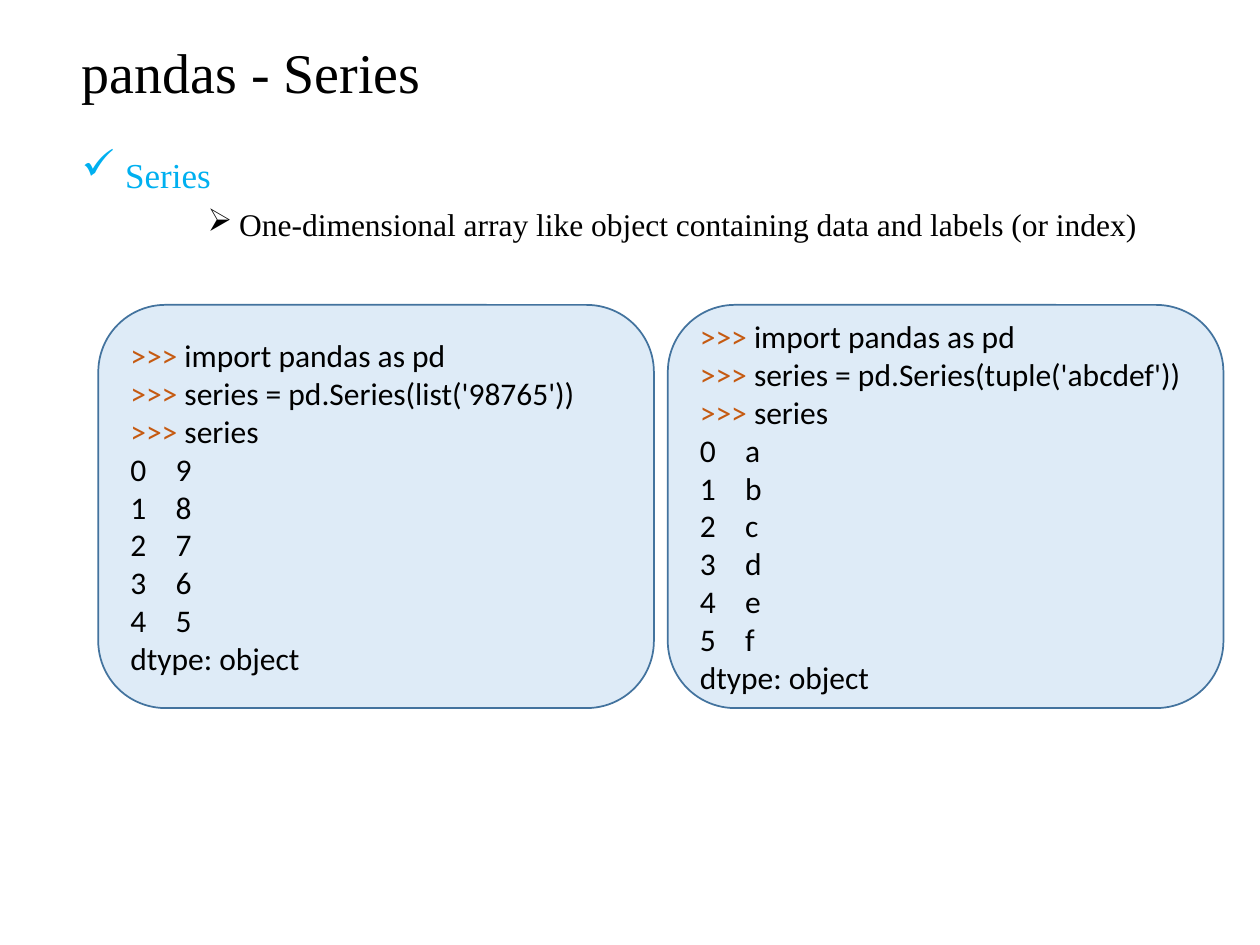
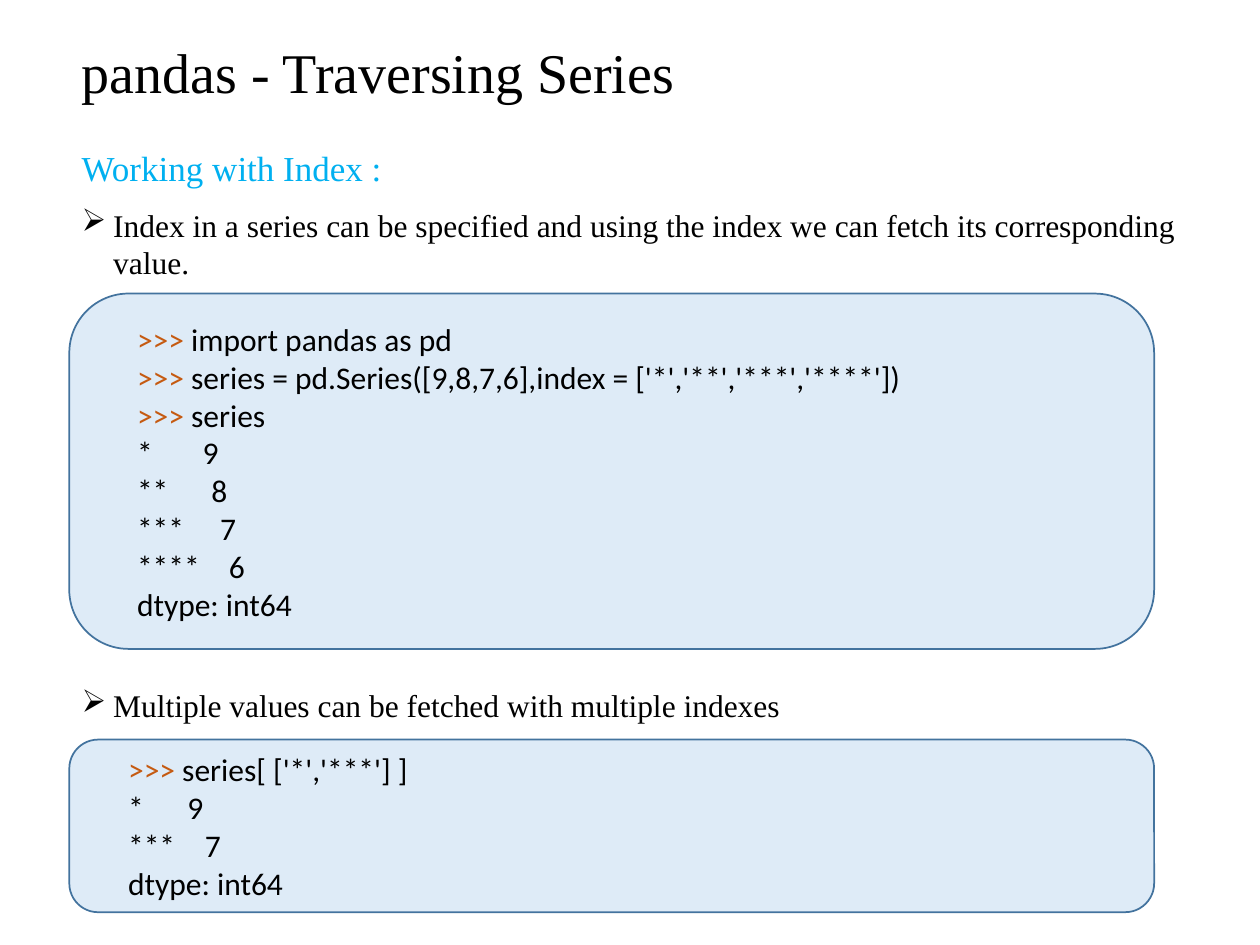
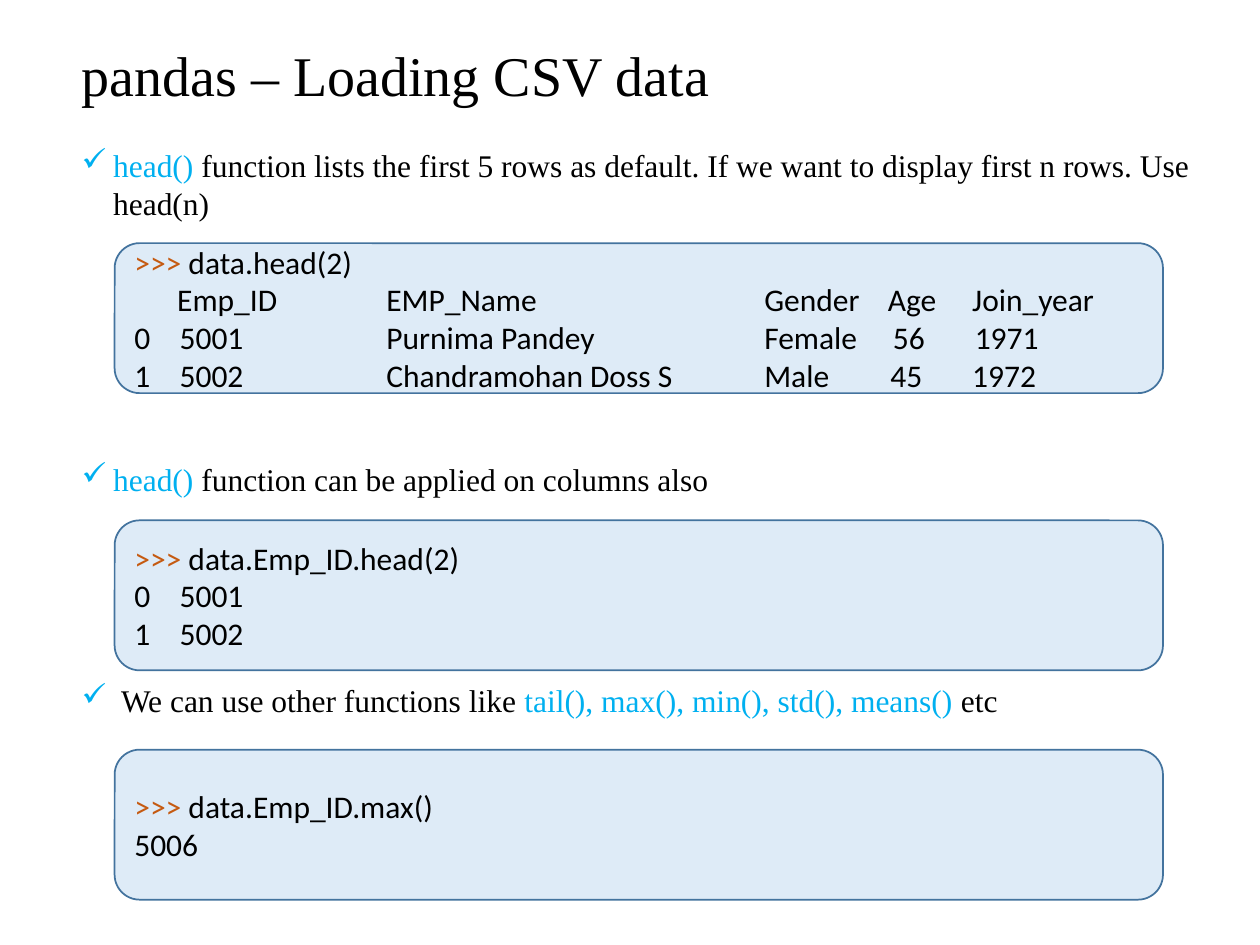
from dataclasses import dataclass

from lxml.etree import SubElement
from pptx import Presentation
from pptx.dml.color import RGBColor
from pptx.enum.shapes import MSO_SHAPE as SHAPE
from pptx.enum.text import MSO_ANCHOR as ANCHOR, PP_ALIGN as ALIGN
from pptx.oxml.ns import qn
from pptx.util import Inches, Pt


@dataclass(frozen=True)
class Theme:
    text: RGBColor = RGBColor.from_string("000000")
    accent: RGBColor = RGBColor.from_string("00B0F0")
    prompt: RGBColor = RGBColor.from_string("C55A11")
    panel: RGBColor = RGBColor.from_string("DEEBF7")
    border: RGBColor = RGBColor.from_string("43739E")
    serif: str = "Times New Roman"
    sans: str = "Calibri"
    title_size: int = 32
    lead_size: int = 24
    heading_size: int = 20
    text_size: int = 18
    leading: float = 1.2
    gap: float = 10


THEME = Theme()
PROMPT = ">>>"
CHECK = "✓"
ARROW = "➢"


@dataclass(frozen=True)
class Span:
    text: str
    color: RGBColor = THEME.text
    size: int | None = None


@dataclass(frozen=True)
class Item:
    spans: tuple[Span, ...]
    bullet: str = ""
    size: int = THEME.text_size
    margin: float = 0.25
    gap: float = THEME.gap
    skipped_lines: int = 0


@dataclass(frozen=True)
class Row:
    cells: tuple[str, ...]
    stops: tuple[float, ...] = ()


@dataclass(frozen=True)
class Panel:
    left: float
    top: float
    width: float
    height: float
    rows: tuple[Row, ...]
    inset: float = 0.1


@dataclass(frozen=True)
class Page:
    title: str
    items: tuple[Item, ...]
    panels: tuple[Panel, ...]
    title_spacing: float = 0.9


def code(*lines: str) -> tuple[Row, ...]:
    return tuple(Row((line,)) for line in lines)


def series(labels: str, values: str) -> tuple[Row, ...]:
    return tuple(Row(pair, (0.36,)) for pair in zip(labels, values))


def starred(first_stop: float, pairs: dict[int, str]) -> tuple[Row, ...]:
    return tuple(
        Row(("*" * n, value), (round(first_stop + 0.07 * (n - 1), 2),))
        for n, value in pairs.items()
    )


def set_font(p, name: str, size: int) -> None:
    p.font.name = name
    p.font.size = Pt(size)
    p.font.color.rgb = THEME.text


def add_run(p, span: Span) -> None:
    r = p.add_run()
    r.text = span.text
    r.font.color.rgb = span.color
    if span.size:
        r.font.size = Pt(span.size)


def next_paragraph(tf, index: int):
    return tf.add_paragraph() if index else tf.paragraphs[0]


def set_bullet(p, char: str, margin: float) -> None:
    props = p._p.get_or_add_pPr()
    props.set("marL", str(Inches(margin)))
    props.set("indent", str(Inches(-0.25)))
    SubElement(props, qn("a:buChar")).set("char", char)


def set_tabs(p, stops: tuple[float, ...]) -> None:
    tabs = SubElement(p._p.get_or_add_pPr(), qn("a:tabLst"))
    for stop in stops:
        tab = SubElement(tabs, qn("a:tab"))
        tab.set("pos", str(Inches(stop)))
        tab.set("algn", "l")


def add_text_box(s, left: float, top: float, width: float, height: float):
    tf = s.shapes.add_textbox(
        Inches(left), Inches(top), Inches(width), Inches(height)
    ).text_frame
    tf.word_wrap = True
    return tf


def add_title(s, text: str, spacing: float) -> None:
    tf = add_text_box(s, 0.55, 0.38, 8.07, 0.42)
    tf.vertical_anchor = ANCHOR.MIDDLE
    p = tf.paragraphs[0]
    p.text = text
    p.line_spacing = Pt(THEME.title_size * THEME.leading * spacing)
    set_font(p, THEME.serif, THEME.title_size)


def add_body(s, items: tuple[Item, ...]) -> None:
    tf = add_text_box(s, 0.55, 1.11, 9.27, 6.14)
    skipped_height = THEME.text_size * THEME.leading + THEME.gap
    for i, item in enumerate(items):
        p = next_paragraph(tf, i)
        largest = max(span.size or item.size for span in item.spans)
        p.line_spacing = Pt(largest * THEME.leading)
        if i:
            p.space_before = Pt(item.gap + item.skipped_lines * skipped_height)
        if item.bullet:
            set_bullet(p, item.bullet, item.margin)
        set_font(p, THEME.serif, item.size)
        for span in item.spans:
            add_run(p, span)


def add_panel(s, panel: Panel) -> None:
    sp = s.shapes.add_shape(
        SHAPE.ROUNDED_RECTANGLE,
        Inches(panel.left), Inches(panel.top),
        Inches(panel.width), Inches(panel.height),
    )
    sp.shadow.inherit = False
    sp.fill.solid()
    sp.fill.fore_color.rgb = THEME.panel
    sp.line.color.rgb = THEME.border
    sp.line.width = Pt(1)
    tf = sp.text_frame
    tf.word_wrap = True
    tf.vertical_anchor = ANCHOR.MIDDLE
    tf.margin_left = Inches(panel.inset)
    for i, row in enumerate(panel.rows):
        p = next_paragraph(tf, i)
        p.alignment = ALIGN.LEFT
        p.line_spacing = Pt(THEME.text_size * THEME.leading)
        if row.stops:
            set_tabs(p, row.stops)
        set_font(p, THEME.sans, THEME.text_size)
        text = "\t".join(row.cells)
        if text.startswith(PROMPT):
            add_run(p, Span(PROMPT, THEME.prompt))
            text = text.removeprefix(PROMPT)
        add_run(p, Span(text))


def series_panel(column: int, rows: tuple[Row, ...]) -> Panel:
    return Panel(0.78 + 4.52 * column, 2.42, 4.41, 3.2, rows)


def index_panel(top: float, height: float, rows: tuple[Row, ...]) -> Panel:
    return Panel(0.55, top, 8.61, height, rows, inset=0.4)


def csv_panel(top: float, rows: tuple[Row, ...]) -> Panel:
    return Panel(0.91, top, 8.32, 1.19, rows)


PAGES = (
    Page(
        "pandas - Series",
        (
            Item(
                (Span(" ", THEME.accent, THEME.lead_size), Span("Series", THEME.accent)),
                CHECK, THEME.heading_size,
            ),
            Item(
                (Span("One-dimensional array like object containing data and labels (or index)"),),
                ARROW, margin=1.25, gap=5,
            ),
        ),
        (
            series_panel(0, (
                *code(">>> import pandas as pd", ">>> series = pd.Series(list('98765'))", ">>> series"),
                *series("01234", "98765"),
                *code("dtype: object"),
            )),
            series_panel(1, (
                *code(">>> import pandas as pd", ">>> series = pd.Series(tuple('abcdef'))", ">>> series"),
                *series("012345", "abcdef"),
                *code("dtype: object"),
            )),
        ),
    ),
    Page(
        "pandas - Traversing Series",
        (
            Item((Span("Working with Index :", THEME.accent),), size=THEME.heading_size),
            Item(
                (Span("Index in a series can be specified and using the index we can fetch its corresponding value."),),
                ARROW,
            ),
            Item(
                (Span("Multiple values can be fetched with multiple indexes"),),
                ARROW, skipped_lines=7,
            ),
        ),
        (
            index_panel(2.33, 2.82, (
                *code(
                    ">>> import pandas as pd",
                    ">>> series = pd.Series([9,8,7,6],index = ['*','**','***','****'])",
                    ">>> series",
                ),
                *starred(0.52, {1: "9", 2: "8", 3: "7", 4: "6"}),
                *code("dtype: int64"),
            )),
            index_panel(5.87, 1.37, (
                *code(">>> series[ ['*','***'] ]"),
                *starred(0.47, {1: "9", 3: "7"}),
                *code("dtype: int64"),
            )),
        ),
    ),
    Page(
        "pandas – Loading CSV data",
        (
            Item(
                (
                    Span("head() ", THEME.accent),
                    Span("function lists the first 5 rows as default. If we want to display first n rows. Use head(n)"),
                ),
                CHECK,
            ),
            Item(
                (Span("head() ", THEME.accent), Span("function can be applied on columns also")),
                CHECK, skipped_lines=4,
            ),
            Item(
                (
                    Span(" ", THEME.accent),
                    Span("We can use other functions like"),
                    Span(" tail(), max(), min(), std(), means() ", THEME.accent),
                    Span("etc"),
                ),
                CHECK, skipped_lines=3,
            ),
        ),
        (
            csv_panel(1.93, (
                *code(">>> data.head(2)"),
                Row(("", "Emp_ID", "EMP_Name", "Gender", "Age", "Join_year"), (0.34, 2, 5, 5.98, 6.65)),
                Row(("0", "5001", "Purnima Pandey", "Female", "56", "1971"), (0.36, 2, 5, 6.02, 6.67)),
                Row(("1", "5002", "Chandramohan Doss S", "Male", "45", "1972"), (0.36, 2, 5, 6, 6.65)),
            )),
            csv_panel(4.13, (*code(">>> data.Emp_ID.head(2)"), *series("01", ("5001", "5002")))),
            csv_panel(5.95, code(">>> data.Emp_ID.max()", "5006")),
        ),
        title_spacing=1,
    ),
)


def main() -> None:
    prs = Presentation()
    prs.slide_width = Inches(10)
    prs.slide_height = Inches(7.5)
    for page in PAGES:
        s = prs.slides.add_slide(prs.slide_layouts[6])
        add_title(s, page.title, page.title_spacing)
        add_body(s, page.items)
        for panel in page.panels:
            add_panel(s, panel)
    prs.save("out.pptx")


if __name__ == "__main__":
    main()
